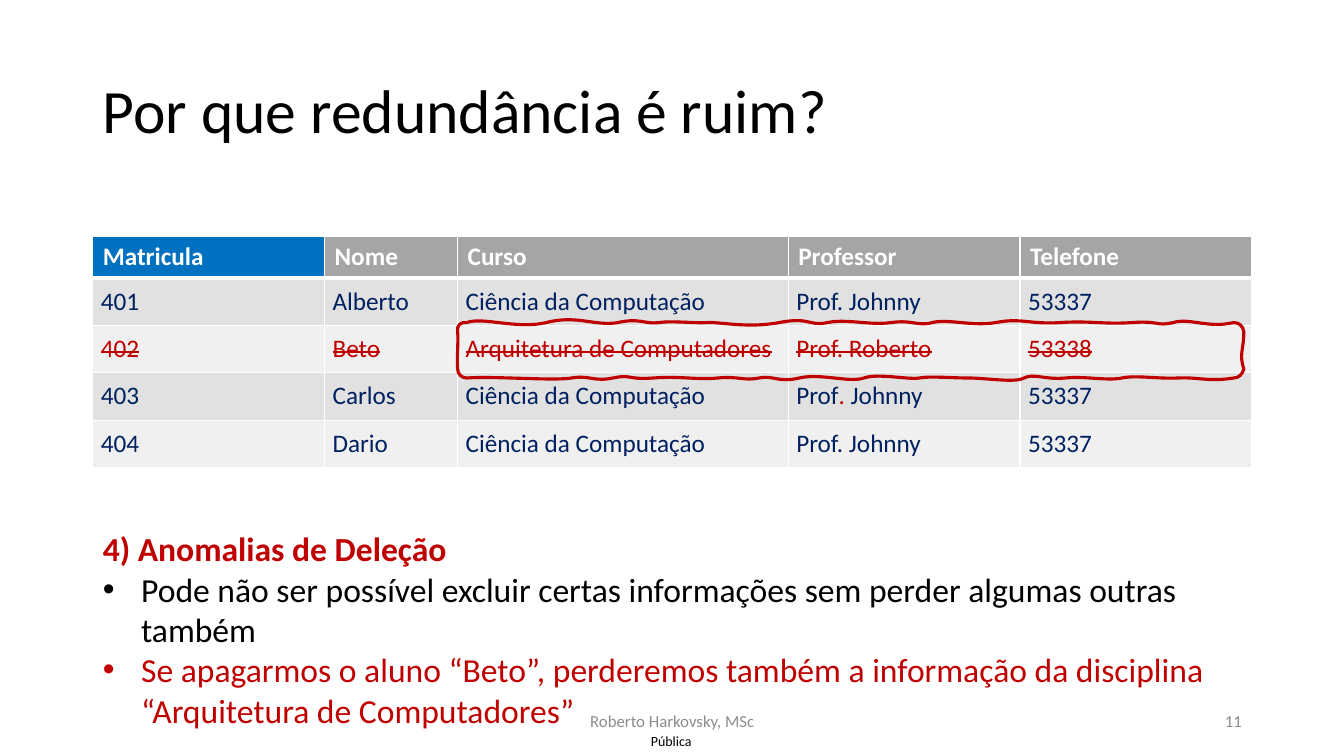
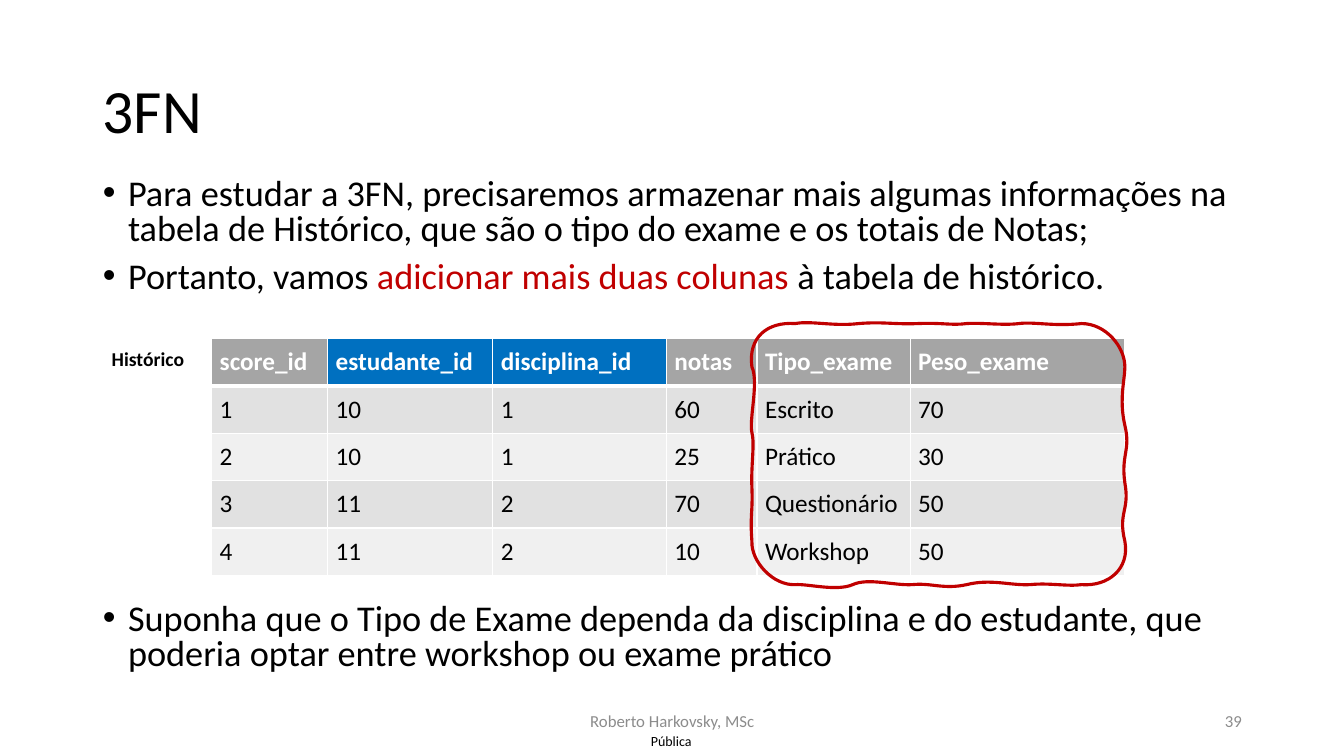
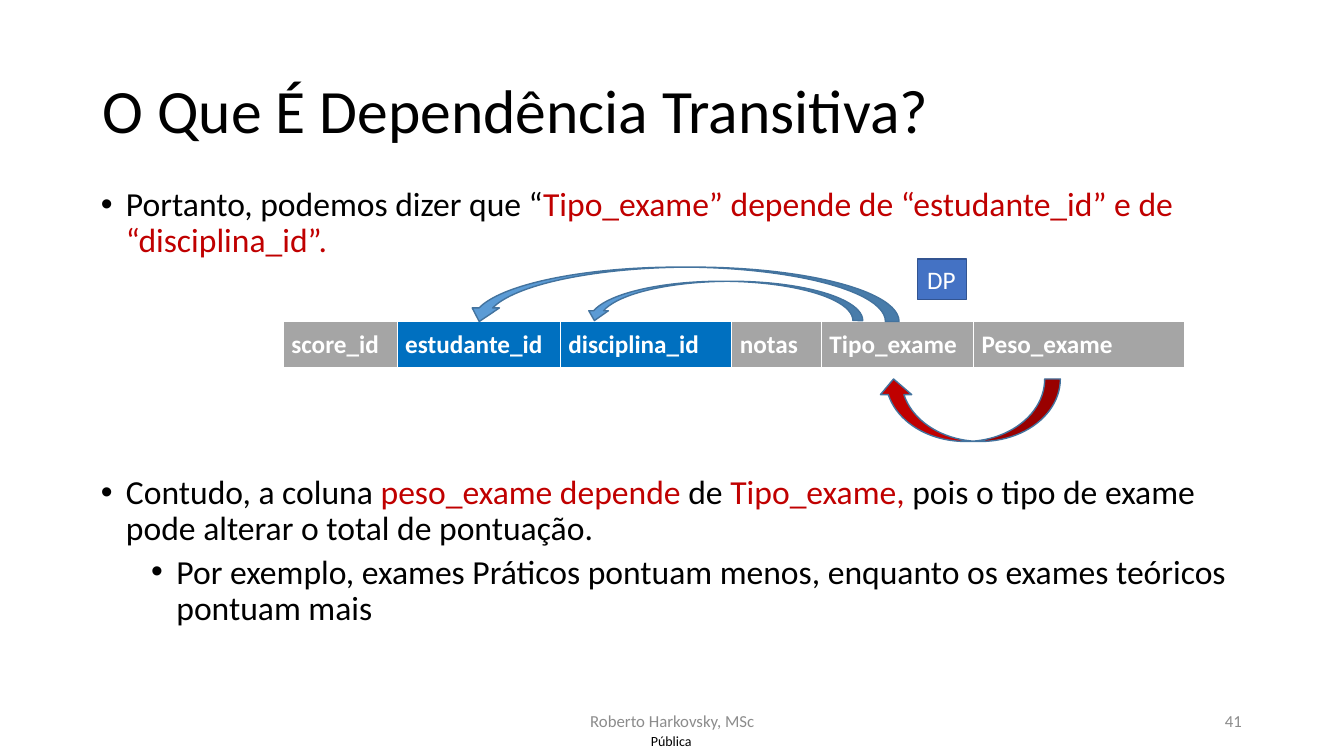
from dataclasses import dataclass

from lxml import etree
from pptx import Presentation
from pptx.dml.color import RGBColor
from pptx.enum.shapes import MSO_SHAPE
from pptx.enum.text import MSO_ANCHOR, MSO_AUTO_SIZE, PP_ALIGN
from pptx.oxml.ns import qn
from pptx.util import Pt

# Shared scale, colours and styles
PX = 9144  # 100 px to the inch
PAGE_HEIGHT = 750
FONT = "Calibri"
WHITE, BLACK, RED, NAVY = "FFFFFF", "000000", "C00000", "002060"
KEY_BLUE, HEADER_GRAY, FOOTER_GRAY = "0070C0", "A5A5A5", "8C8C8C"
BANDS = ("E1E1E1", "F0F0F0")
ARROW_BLUE, ARROW_EDGE = "5B9BD5", "43739E"
LABEL_BLUE, LABEL_EDGE = "4472C4", "325491"
LEFT, CENTER, RIGHT = PP_ALIGN.LEFT, PP_ALIGN.CENTER, PP_ALIGN.RIGHT
TOP, MIDDLE = MSO_ANCHOR.TOP, MSO_ANCHOR.MIDDLE
NO_FIT = MSO_AUTO_SIZE.NONE
RECTANGLE, CURVED_ARROW = MSO_SHAPE.RECTANGLE, MSO_SHAPE.CURVED_DOWN_ARROW


@dataclass(frozen=True)
class Box:
    left: int
    top: int
    width: int
    height: int

    def emu(self) -> tuple[int, ...]:
        return tuple(n * PX for n in (self.left, self.top, self.width, self.height))


@dataclass(frozen=True)
class Span:
    text: str
    color: str | None = None


@dataclass(frozen=True)
class Para:
    spans: tuple[Span, ...]
    size: float
    color: str = BLACK
    bold: bool = False
    strike: bool = False
    align: PP_ALIGN = LEFT
    line: float = 1.0
    before: int = 0
    level: int = 0
    margin: int = 0
    bullet: int = 0  # hanging indent; 0 means no bullet


@dataclass(frozen=True)
class Grid:
    left: int
    top: int
    columns: tuple[int, ...]
    header: tuple[str, ...]
    keys: tuple[str, ...]
    rows: tuple[tuple, ...] = ()
    color: str = BLACK
    struck_row: int | None = None
    header_height: int = 47
    header_insets: tuple[int, int] = (8, 8)


@dataclass(frozen=True)
class Arrow:
    box: Box
    fill: str
    flips: tuple[str, ...]


def color(value: str) -> RGBColor:
    return RGBColor.from_string(value)


def spans(content) -> tuple[Span, ...]:
    return (Span(content),) if isinstance(content, str) else content


# Text
def write_para(paragraph, para: Para) -> None:
    properties = paragraph._p.get_or_add_pPr()
    properties.set("marL", str((para.margin + para.bullet) * PX))
    properties.set("indent", str(-para.bullet * PX))
    if para.bullet:
        etree.SubElement(properties, qn("a:buFont")).set("typeface", "Arial")
        etree.SubElement(properties, qn("a:buChar")).set("char", "•")
    else:
        etree.SubElement(properties, qn("a:buNone"))
    paragraph.level = para.level
    paragraph.alignment = para.align
    paragraph.line_spacing = para.line
    paragraph.space_before = Pt(para.before)
    paragraph.font.name = FONT
    paragraph.font.size = Pt(para.size)
    paragraph.font.bold = para.bold
    paragraph.font.color.rgb = color(para.color)
    for span in para.spans:
        run = paragraph.add_run()
        run.text = span.text
        if span.color:
            run.font.color.rgb = color(span.color)
        if para.strike:
            run._r.get_or_add_rPr().set("strike", "sngStrike")


def write_frame(frame, paras: tuple[Para, ...], anchor=TOP, wrap: bool = True) -> None:
    frame.word_wrap = wrap
    frame.auto_size = NO_FIT
    frame.vertical_anchor = anchor
    for index, para in enumerate(paras):
        write_para(frame.add_paragraph() if index else frame.paragraphs[0], para)


def add_text(page, box: Box, para: Para, anchor=TOP, wrap: bool = True, inset: bool = True) -> None:
    frame = page.shapes.add_textbox(*box.emu()).text_frame
    if not inset:
        frame.margin_left = frame.margin_right = frame.margin_top = frame.margin_bottom = 0
    write_frame(frame, (para,), anchor, wrap)


def place(holder, box: Box) -> None:
    holder.left, holder.top, holder.width, holder.height = box.emu()


# Page frame shared by all slides
def add_page(deck, title: str, number: str, body_box: Box, body: tuple[Para, ...]):
    page = deck.slides.add_slide(deck.slide_layouts[1])
    heading, content = page.shapes.title, page.placeholders[1]
    place(heading, Box(92, 40, 1150, 145))
    write_frame(heading.text_frame, (Para(spans(title), 44, line=0.9),), MIDDLE)
    place(content, body_box)
    write_frame(content.text_frame, body)
    add_text(page, Box(631, 721, 70, 29), Para(spans("Pública"), 10, align=CENTER), MIDDLE, inset=False)
    for box, text, align in (
        (Box(442, 695, 450, 40), "Roberto Harkovsky, MSc", CENTER),
        (Box(942, 695, 300, 40), number, RIGHT),
    ):
        add_text(page, box, Para(spans(text), 12, FOOTER_GRAY, align=align), MIDDLE)
    return page


# Tables
def style_cell(cell, fill: str, insets: tuple[int, int], para: Para, top: int, bottom: int) -> None:
    properties = cell._tc.get_or_add_tcPr()
    for side, weight in (("L", 1), ("R", 1), ("T", top), ("B", bottom)):
        line = etree.SubElement(properties, qn(f"a:ln{side}"), w=str(Pt(weight)))
        solid = etree.SubElement(line, qn("a:solidFill"))
        etree.SubElement(solid, qn("a:srgbClr"), val=WHITE)
    cell.fill.solid()
    cell.fill.fore_color.rgb = color(fill)
    cell.margin_left = cell.margin_right = insets[0] * PX
    cell.margin_top = cell.margin_bottom = insets[1] * PX
    write_para(cell.text_frame.paragraphs[0], para)


def add_grid(page, grid: Grid) -> None:
    heights = (grid.header_height,) + (47,) * len(grid.rows)
    box = Box(grid.left, grid.top, sum(grid.columns), sum(heights))
    table = page.shapes.add_table(len(heights), len(grid.columns), *box.emu()).table
    table.horz_banding = False
    for column, width in zip(table.columns, grid.columns):
        column.width = width * PX
    for row, height in zip(table.rows, heights):
        row.height = height * PX
    for index, name in enumerate(grid.header):
        fill = KEY_BLUE if name in grid.keys else HEADER_GRAY
        para = Para(spans(name), 18, WHITE, bold=True)
        style_cell(table.cell(0, index), fill, grid.header_insets, para, 1, 3)
    for number, values in enumerate(grid.rows, 1):
        struck = number == grid.struck_row
        for index, value in enumerate(values):
            para = Para(spans(value), 18, RED if struck else grid.color, strike=struck)
            style_cell(table.cell(number, index), BANDS[(number - 1) % 2], (8, 8), para,
                       3 if number == 1 else 1, 1)


# Shapes
def add_outline(page, start: tuple[int, int], curves: tuple[tuple[int, ...], ...]) -> None:
    """Draw a wavy closed outline; each curve is two control points and an end."""
    builder = page.shapes.build_freeform(start[0], start[1], scale=PX)
    builder.add_line_segments([curve[4:] for curve in curves], close=True)
    outline = builder.convert_to_shape()
    left, top = outline.left // PX, outline.top // PX
    segments = list(outline._element.iter(qn("a:lnTo")))
    for segment, curve in zip(segments, curves):
        cubic = etree.Element(qn("a:cubicBezTo"))
        for x, y in zip(curve[::2], curve[1::2]):
            etree.SubElement(cubic, qn("a:pt"), x=str(x - left), y=str(y - top))
        segment.getparent().replace(segment, cubic)
    outline.shadow.inherit = False
    outline.fill.background()
    outline.line.color.rgb = color(RED)
    outline.line.width = Pt(2.25)


def add_solid(page, preset, box: Box, fill: str, edge: str):
    shape = page.shapes.add_shape(preset, *box.emu())
    shape.shadow.inherit = False
    shape.fill.solid()
    shape.fill.fore_color.rgb = color(fill)
    shape.line.color.rgb = color(edge)
    shape.line.width = Pt(1)
    return shape


def add_arrow(page, arrow: Arrow) -> None:
    shape = add_solid(page, CURVED_ARROW, arrow.box, arrow.fill, ARROW_EDGE)
    for flip in arrow.flips:
        shape._element.spPr.find(qn("a:xfrm")).set(flip, "1")


# Content
COURSE = "Ciência da Computação"
STUDENTS = Grid(
    92, 235, (230, 132, 328, 230, 230),
    ("Matricula", "Nome", "Curso", "Professor", "Telefone"), ("Matricula",),
    (
        ("401", "Alberto", COURSE, "Prof. Johnny", "53337"),
        ("402", "Beto", "Arquitetura de Computadores", "Prof. Roberto", "53338"),
        ("403", "Carlos", COURSE, (Span("Prof"), Span(". ", RED), Span("Johnny")), "53337"),
        ("404", "Dario", COURSE, "Prof. Johnny", "53337"),
    ),
    NAVY, struck_row=2, header_height=41, header_insets=(10, 5),
)
SCORE_HEADER = ("score_id", "estudante_id", "disciplina_id", "notas", "Tipo_exame", "Peso_exame")
SCORE_KEYS = ("estudante_id", "disciplina_id")
SCORES = Grid(
    210, 336, (115, 164, 172, 90, 152, 213), SCORE_HEADER, SCORE_KEYS,
    (
        ("1", "10", "1", "60", "Escrito", "70"),
        ("2", "10", "1", "25", "Prático", "30"),
        ("3", "11", "2", "70", "Questionário", "50"),
        ("4", "11", "2", "10", "Workshop", "50"),
    ),
)
SCORE_COLUMNS = Grid(281, 319, (113, 162, 170, 89, 151, 209), SCORE_HEADER, SCORE_KEYS)

ROW_OUTLINE = (
    (453, 323, 457, 319, 463, 320), (480, 314, 512, 327, 542, 320),
    (572, 312, 591, 324, 613, 320), (635, 315, 640, 322, 654, 320),
    (667, 318, 692, 321, 702, 320), (712, 319, 742, 326, 773, 320),
    (804, 314, 802, 324, 821, 320), (840, 316, 863, 323, 884, 320),
    (906, 317, 910, 324, 925, 320), (941, 316, 964, 324, 988, 320),
    (1013, 315, 1021, 322, 1052, 320), (1083, 318, 1095, 322, 1123, 320),
    (1151, 318, 1147, 324, 1164, 320), (1180, 315, 1198, 326, 1224, 320),
    (1229, 320, 1233, 323, 1234, 329), (1234, 347, 1229, 351, 1234, 366),
    (1233, 371, 1229, 375, 1224, 375), (1199, 379, 1189, 374, 1169, 375),
    (1148, 376, 1127, 372, 1113, 375), (1098, 378, 1077, 373, 1057, 375),
    (1037, 377, 1025, 370, 1016, 375), (1008, 380, 978, 375, 961, 375),
    (943, 375, 923, 373, 912, 375), (902, 377, 871, 370, 857, 375),
    (843, 380, 814, 370, 793, 375), (772, 380, 767, 372, 753, 375),
    (738, 378, 732, 373, 712, 375), (692, 377, 675, 373, 648, 375),
    (622, 377, 627, 371, 608, 375), (589, 379, 585, 372, 567, 375),
    (549, 378, 490, 373, 463, 375), (458, 375, 454, 371, 454, 366),
    (453, 356, 455, 339, 454, 329),
)
COLUMNS_OUTLINE = (
    (742, 335, 761, 319, 789, 321), (805, 318, 827, 324, 852, 321),
    (876, 319, 887, 322, 911, 321), (935, 320, 944, 323, 959, 321),
    (975, 320, 995, 323, 1011, 321), (1026, 319, 1045, 324, 1073, 321),
    (1097, 321, 1116, 344, 1116, 364), (1116, 377, 1110, 396, 1116, 422),
    (1122, 447, 1112, 451, 1116, 479), (1121, 507, 1109, 508, 1116, 537),
    (1121, 564, 1100, 582, 1073, 580), (1059, 582, 1041, 578, 1022, 580),
    (1002, 581, 983, 574, 959, 580), (936, 585, 924, 578, 905, 580),
    (887, 581, 861, 573, 846, 580), (830, 587, 801, 579, 789, 580),
    (767, 581, 745, 557, 746, 537), (744, 511, 747, 508, 746, 484),
    (745, 461, 749, 441, 746, 429), (743, 417, 753, 379, 746, 364),
)
ARROWS = (
    Arrow(Box(580, 279, 276, 39), ARROW_BLUE, ("flipH",)),
    Arrow(Box(462, 265, 430, 54), ARROW_BLUE, ("flipH",)),
    Arrow(Box(871, 376, 181, 62), RED, ("flipH", "flipV")),
)


def add_anomalies(deck) -> None:
    page = add_page(deck, "Por que redundância é ruim?", "11", Box(92, 519, 1150, 252), (
        Para(spans("4) Anomalias de Deleção"), 24, RED, bold=True),
        Para(spans("Pode não ser possível excluir certas informações sem perder algumas "
                   "outras também"), 24, bullet=38),
        Para(spans("Se apagarmos o aluno “Beto”, perderemos também a informação da "
                   "disciplina “Arquitetura de Computadores”"), 24, RED, bullet=38),
    ))
    add_grid(page, STUDENTS)
    add_outline(page, (454, 329), ROW_OUTLINE)


def add_third_form(deck) -> None:
    page = add_page(deck, "3FN", "39", Box(92, 172, 1181, 514), (
        Para(spans("Para estudar a 3FN, precisaremos armazenar mais algumas informações na "
                   "tabela de Histórico, que são o tipo do exame e os totais de Notas;"),
             25.9, line=0.8, bullet=25),
        Para((Span("Portanto, vamos "), Span("adicionar mais duas colunas ", RED),
              Span("à tabela de histórico.")), 25.9, line=0.8, before=10, bullet=25),
        Para(spans("Suponha que o Tipo de Exame dependa da disciplina e do estudante, que "
                   "poderia optar entre workshop ou exame prático"),
             25.9, line=0.8, before=219, bullet=25),
    ))
    add_grid(page, SCORES)
    add_text(page, Box(101, 339, 93, 34), Para(spans("Histórico"), 14, bold=True), wrap=False)
    add_outline(page, (746, 364), COLUMNS_OUTLINE)


def add_transitive_dependency(deck) -> None:
    page = add_page(deck, "O Que É Dependência Transitiva?", "41", Box(90, 181, 1150, 532), (
        Para((Span("Portanto, podemos dizer que “"),
              Span("Tipo_exame” depende de “estudante_id” e de “disciplina_id”.", RED)),
             24, line=0.9, bullet=25),
        Para((Span("Contudo, a coluna "), Span("peso_exame depende ", RED), Span("de "),
              Span("Tipo_exame, ", RED),
              Span("pois o tipo de exame pode alterar o total de pontuação.")),
             24, line=0.9, before=154, bullet=25),
        Para(spans("Por exemplo, exames Práticos pontuam menos, enquanto os exames teóricos "
                   "pontuam mais"), 24, line=0.9, before=5, level=1, margin=50, bullet=25),
    ))
    add_grid(page, SCORE_COLUMNS)
    for arrow in ARROWS:
        add_arrow(page, arrow)
    label = add_solid(page, RECTANGLE, Box(910, 257, 49, 40), LABEL_BLUE, LABEL_EDGE)
    write_frame(label.text_frame, (Para(spans("DP"), 18, WHITE),), wrap=False)


def main() -> None:
    deck = Presentation()
    deck.slide_width, deck.slide_height = PAGE_HEIGHT * PX * 16 // 9, PAGE_HEIGHT * PX
    add_anomalies(deck)
    add_third_form(deck)
    add_transitive_dependency(deck)
    deck.save("out.pptx")


if __name__ == "__main__":
    main()
